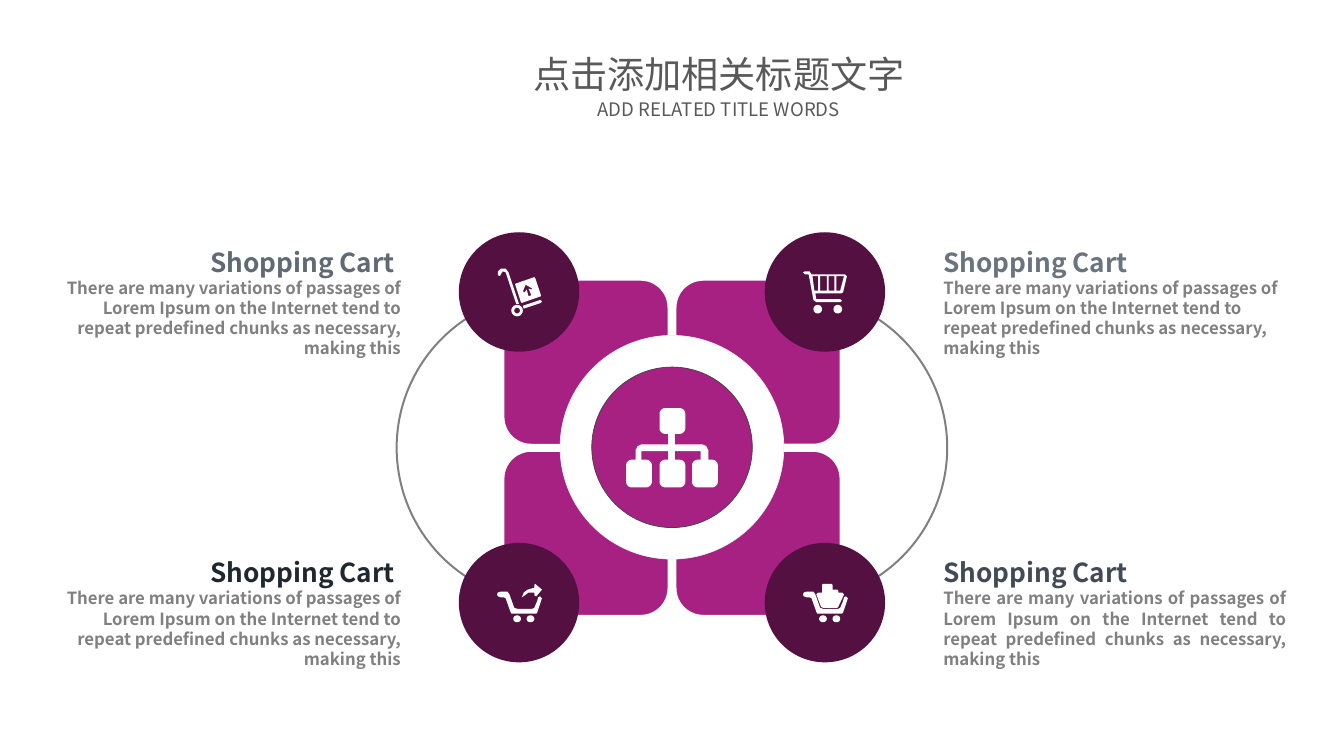
import math
import pptx
import pptx.dml.color
import pptx.enum.shapes
import pptx.enum.text
import pptx.oxml.ns
import pptx.util
from dataclasses import dataclass
from lxml import etree

SHAPE = pptx.enum.shapes.MSO_SHAPE
ALIGN = pptx.enum.text.PP_ALIGN
EMU_PER_PX = 9144
STEPS_PER_PX = 10  # resolution of icon outlines


@dataclass(frozen=True)
class Theme:
    font: str = "Noto Sans CJK SC"
    petal: str = "A72183"
    badge: str = "551042"
    white: str = "FFFFFF"
    ring: str = "808080"
    disc_edge: str = "F0F0F0"
    hub_edge: str = "3D4242"
    title: str = "595959"
    body: str = "808080"
    # (type size, line height) in points
    title_type: tuple = (28, 34)
    subtitle_type: tuple = (14, 17.2)
    heading_type: tuple = (19.7, 23.3)
    body_type: tuple = (12.6, 15.2)


def px(value):
    return pptx.util.Emu(value * EMU_PER_PX)


def rgb(value):
    return pptx.dml.color.RGBColor.from_string(value)


def rounded(x, y, width, height, radius):
    """Contour of a rounded box; a radius of half the width gives a circle."""
    points = []
    for quarter, (right, bottom) in enumerate(((1, 1), (0, 1), (0, 0), (1, 0))):
        center_x = x + width - radius if right else x + radius
        center_y = y + height - radius if bottom else y + radius
        for step in range(7):
            angle = math.radians(90 * quarter + 15 * step)
            points.append((center_x + radius * math.cos(angle),
                           center_y + radius * math.sin(angle)))
    return points


class SlideBuilder:
    def __init__(self, presentation, theme):
        self.theme = theme
        self.slide = presentation.slides.add_slide(presentation.slide_layouts[5])
        self.shapes = self.slide.shapes

    def paint(self, shape, fill=None, line=None, weight=1):
        shape.shadow.inherit = False
        if fill:
            shape.fill.solid()
            shape.fill.fore_color.rgb = rgb(fill)
        else:
            shape.fill.background()
        if line:
            shape.line.color.rgb = rgb(line)
            shape.line.width = pptx.util.Pt(weight)
        else:
            shape.line.fill.background()

    def preset(self, kind, box, fill=None, line=None, weight=1, adjustments=()):
        shape = self.shapes.add_shape(kind, *map(px, box))
        for index, value in enumerate(adjustments):
            shape.adjustments[index] = value
        self.paint(shape, fill, line, weight)

    def arc(self, box, start, end):
        # Angles are stored in 60000ths of a degree, adjustments in 100000ths
        self.preset(SHAPE.ARC, box, line=self.theme.ring, weight=1.5,
                    adjustments=(start * 0.6, end * 0.6))

    def icon(self, origin, contours):
        left, top = origin
        moved = [[((left + x) * STEPS_PER_PX, (top + y) * STEPS_PER_PX) for x, y in contour]
                 for contour in contours]
        builder = self.shapes.build_freeform(*moved[0][0], scale=EMU_PER_PX / STEPS_PER_PX)
        for index, points in enumerate(moved):
            if index:
                builder.move_to(*points[0])
            builder.add_line_segments(points[1:], close=True)
        self.paint(builder.convert_to_shape(), self.theme.white)

    def format_paragraph(self, paragraph, type_style, color, align, bold=False):
        size, line_height = type_style
        paragraph.alignment = align
        paragraph.line_spacing = pptx.util.Pt(line_height)
        for run in paragraph.runs:
            run.font.size = pptx.util.Pt(size)
            run.font.bold = bold
            run.font.color.rgb = rgb(color)
            run.font.name = self.theme.font
            east_asian = etree.SubElement(run.font._element, pptx.oxml.ns.qn("a:ea"))
            east_asian.set("typeface", self.theme.font)

    def place_caption(self, shape, box, text, type_style):
        shape.left, shape.top, shape.width, shape.height = map(px, box)
        frame = shape.text_frame
        frame.text = text
        frame.word_wrap = False
        frame.auto_size = pptx.enum.text.MSO_AUTO_SIZE.NONE
        frame.vertical_anchor = pptx.enum.text.MSO_ANCHOR.TOP
        frame.margin_left = frame.margin_right = px(11)
        frame.margin_top = frame.margin_bottom = px(5)
        self.format_paragraph(frame.paragraphs[0], type_style, self.theme.title, ALIGN.CENTER)

    def title(self, box, text):
        self.place_caption(self.shapes.title, box, text, self.theme.title_type)

    def subtitle(self, box, text):
        shape = self.shapes.add_textbox(0, 0, 0, 0)
        self.place_caption(shape, box, text, self.theme.subtitle_type)

    def description(self, box, heading, body, color, heading_align, body_align):
        frame = self.shapes.add_textbox(*map(px, box)).text_frame
        frame.word_wrap = True
        frame.text = f"{heading}\n{body}"
        first, second = frame.paragraphs
        self.format_paragraph(first, self.theme.heading_type, color, heading_align, bold=True)
        self.format_paragraph(second, self.theme.body_type, self.theme.body, body_align, bold=True)


BODY = ("There are many variations of passages of Lorem Ipsum on the Internet "
        "tend to repeat predefined chunks as necessary, making this")

# Icon outlines, in px from the top left of each icon
TREE = [(44, 27), (51, 27), (51, 38), (80, 38), (84, 40), (86, 44), (86, 54), (78, 54),
        (78, 45), (51, 45), (51, 54), (44, 54), (44, 45), (16, 45), (16, 54), (10, 54),
        (10, 44), (12, 40), (16, 38), (44, 38)]
TREE_NODES = [rounded(x, y, 27, height, 6)
              for x, y, height in ((35, 0, 27), (0, 54, 29), (35, 54, 29), (69, 54, 29))]
BASKET = [(46, 5), (42, 22), (40, 23), (13, 23), (14, 29), (39, 29), (41, 31), (39, 32),
          (14, 32), (11, 30), (6, 3), (2, 3), (0, 1), (2, 0), (7, 0), (9, 3), (44, 3)]
BASKET_GAPS = [[(12, 20), (16, 20), (16, 5), (10, 5)], [(18, 5), (25, 5), (25, 20), (18, 20)],
               [(27, 5), (33, 5), (33, 20), (27, 20)], [(35, 5), (35, 20), (39, 20), (43, 5)]]
BASKET_WHEELS = [rounded(x, 35, 9, 9, 4.5) for x in (11, 32)]
PARCEL = [(40, 11), (46, 29), (46, 30), (26, 37), (25, 36), (19, 18), (19, 17), (39, 10)]
PARCEL_ARROW = [(37, 22), (30, 18), (27, 25), (29, 26), (31, 23), (33, 30), (36, 29),
                (33, 22), (36, 23)]
TROLLEY_FOOT = [(45, 34), (27, 40), (28, 43), (46, 37), (47, 35)]
TROLLEY_HANDLE = [(1, 8), (1, 4), (4, 1), (9, 1), (12, 5), (23, 38), (20, 38), (9, 5),
                  (6, 4), (4, 7), (3, 9)]
TROLLEY_WHEEL = [rounded(15, 39, 12, 12, 6), rounded(18, 42, 6, 6, 3)]
CART = [(40, 25), (43, 18), (44, 14), (46, 13), (48, 15), (47, 18), (43, 30), (42, 31),
        (16, 31), (15, 29), (10, 15), (8, 14), (5, 14), (2, 13), (1, 11), (2, 9), (5, 8),
        (12, 8), (14, 11), (19, 25), (22, 26), (38, 26)]
CART_WHEELS = [rounded(x, 33, 8, 7, 3.5) for x in (18, 32)]
CART_ARROW = [(40, 12), (40, 9), (34, 9), (30, 12), (27, 14), (29, 9), (33, 6), (40, 4),
              (40, 1), (41, 0), (48, 6), (42, 13)]
CART_GOODS = [(37, 25), (22, 25), (20, 24), (15, 11), (17, 9), (21, 9), (21, 1), (22, 0),
              (31, 0), (32, 1), (32, 6), (37, 6), (38, 7), (38, 9), (42, 9), (44, 11), (38, 24)]


def main():
    presentation = pptx.Presentation()
    presentation.slide_width, presentation.slide_height = px(1406), px(791)
    theme = Theme()
    builder = SlideBuilder(presentation, theme)

    # Title and subtitle
    builder.title((545, 48, 414, 58), "点击添加相关标题文字")
    builder.subtitle((601, 97, 302, 34), "ADD RELATED TITLE WORDS")

    # Side rings
    builder.arc((415, 307, 323, 323), 17.37, 270)
    builder.arc((668, 307, 323, 323), 270, 162.63)

    # Four descriptions
    right, left, justify = ALIGN.RIGHT, ALIGN.LEFT, ALIGN.JUSTIFY
    for x, y, heading, color, heading_align, body_align in (
            (51, 253, "Shopping Cart ", "606A74", right, right),
            (977, 253, "Shopping Cart", "69747E", left, left),
            (977, 578, "Shopping Cart", "414B56", left, justify),
            (51, 578, "Shopping Cart ", "20282F", right, right)):
        builder.description((x, y, 378, 128), heading, BODY, color, heading_align, body_align)

    # Petals around the hub
    for x in (527, 707):
        for y in (293, 472):
            builder.preset(SHAPE.ROUNDED_RECTANGLE, (x, y, 172, 172), theme.petal, theme.white)
    builder.preset(SHAPE.OVAL, (586, 351, 234, 234), theme.white, theme.disc_edge, 0.5)
    builder.preset(SHAPE.OVAL, (619, 384, 168, 168), theme.petal, theme.hub_edge, 0.5)

    # Corner badges
    for x in (480, 800):
        for y in (243, 568):
            builder.preset(SHAPE.OVAL, (x, y, 126, 125), theme.badge)

    # Icons
    builder.icon((655, 427), [TREE, *TREE_NODES])
    builder.icon((520, 280), [PARCEL, PARCEL_ARROW, TROLLEY_FOOT, TROLLEY_HANDLE, *TROLLEY_WHEEL])
    builder.icon((840, 284), [BASKET, *BASKET_GAPS, *BASKET_WHEELS])
    builder.icon((519, 611), [CART, CART_ARROW, *CART_WHEELS])
    builder.icon((839, 611), [CART, CART_GOODS, *CART_WHEELS])

    presentation.save("out.pptx")


if __name__ == "__main__":
    main()
